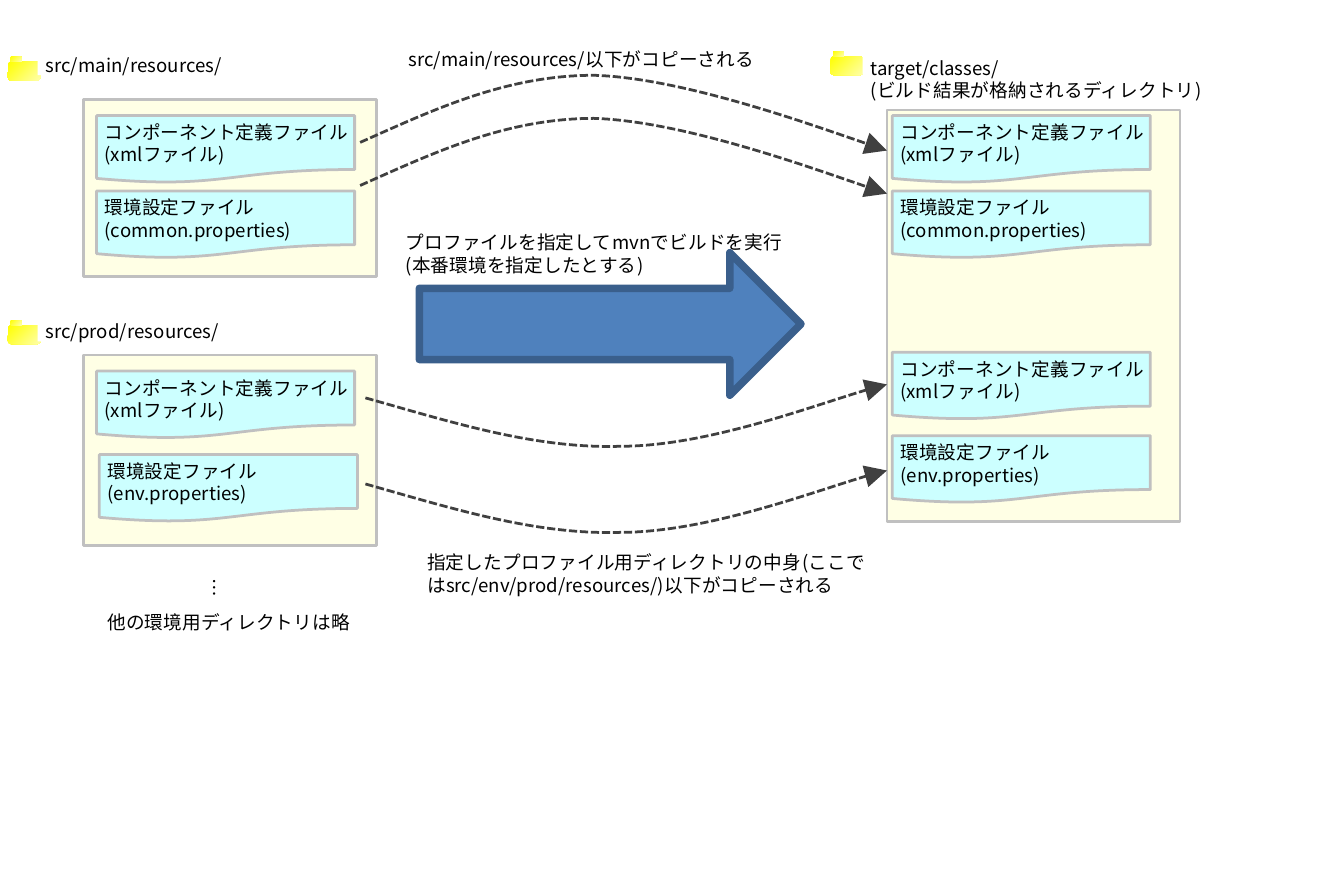
from pptx import Presentation
from pptx.dml.color import RGBColor
from pptx.enum.dml import MSO_LINE_DASH_STYLE as Dash
from pptx.enum.shapes import MSO_SHAPE as Shape
from pptx.enum.text import MSO_ANCHOR as Anchor, PP_ALIGN as Align
from pptx.oxml.ns import qn
from pptx.util import Pt
from lxml.etree import SubElement

PX = 9144  # 100 px to the inch
FONT = "Noto Sans CJK JP"
BLACK, WHITE, GRAY, DARK = "000000", "FFFFFF", "C0C0C0", "404040"
CREAM, CYAN, BLUE, NAVY = "FFFFE5", "CCFFFF", "4F81BD", "3A5F8C"
YELLOWS = ("FFFF00", "FFFFA9")

# Content: positions are left, top, width, height
FOLDERS = [(3, 21), (3, 119), (309, 19)]
LABELS = [
    ((14, 18, 86, 10), ["src/main/resources/"]),
    ((14, 117, 86, 10), ["src/prod/resources/"]),
    ((321, 19, 150, 18), ["target/classes/", "(ビルド結果が格納されるディレクトリ)"]),
    ((37, 225, 102, 16), ["他の環境用ディレクトリは略"]),
]
ELLIPSIS = ((74, 213, 13, 10), ["…"])
PANELS = [(31, 37, 109, 66), (31, 132, 109, 71), (330, 41, 109, 153)]
COMPONENT = ["コンポーネント定義ファイル", "(xmlファイル)"]
COMMON = ["環境設定ファイル", "(common.properties)"]
ENV = ["環境設定ファイル", "(env.properties)"]
FILES = [
    (36, 43, COMPONENT), (36, 71, COMMON), (36, 138, COMPONENT), (37, 169, ENV),
    (332, 43, COMPONENT), (332, 71, COMMON), (332, 131, COMPONENT), (332, 162, ENV),
]
FILE_SIZE = (96, 25)
BUILD_ARROW = (156, 94, 142, 53)
NOTES = [
    ((148, 84, 151, 26), ["プロファイルを指定してmvnでビルドを実行", "(本番環境を指定したとする)"]),
    ((149, 16, 151, 13), ["src/main/resources/以下がコピーされる"]),
    ((156, 203, 175, 22),
     ["指定したプロファイル用ディレクトリの中身(ここではsrc/env/prod/resources/)以下がコピーされる"]),
]
# Start point, then three points for each Bezier section
ARCH = [(134, 53), (161, 41), (188, 28), (221, 28), (254, 29), (315, 51), (330, 56)]
SAG = [(136, 148), (168, 157), (199, 167), (231, 166), (263, 166), (316, 146), (330, 143)]
COPIES = [(ARCH, 0), (ARCH, 16), (SAG, 0), (SAG, 32)]


def px(*lengths):
    return [length * PX for length in lengths]


def color(value):
    return RGBColor.from_string(value)


def write(box, lines, align=Align.LEFT, right=3, bottom=0, vertical=None):
    frame = box.text_frame
    frame.word_wrap = True
    frame.vertical_anchor = Anchor.TOP
    (frame.margin_left, frame.margin_top,
     frame.margin_right, frame.margin_bottom) = px(3, 2, right, bottom)
    if vertical:
        frame._txBody.bodyPr.set("vert", vertical)
    for index, line in enumerate(lines):
        para = frame.add_paragraph() if index else frame.paragraphs[0]
        para.alignment = align
        span = para.add_run()
        span.text = line
        span.font.size = Pt(5)
        span.font.name = FONT
        span.font.color.rgb = color(BLACK)
        SubElement(span._r.get_or_add_rPr(), qn("a:ea"), typeface=FONT)


def add_box(kind, place, fill, line=None, width=0.75):
    box = page.shapes.add_shape(kind, *px(*place))
    box.shadow.inherit = False
    if isinstance(fill, tuple):
        box.fill.gradient()
        box.fill.gradient_angle = 315
        for stop, value, position in zip(box.fill.gradient_stops, fill, (0, 1)):
            stop.color.rgb = color(value)
            stop.position = position
    else:
        box.fill.solid()
        box.fill.fore_color.rgb = color(fill)
    if line:
        box.line.color.rgb = color(line)
        box.line.width = Pt(width)
    else:
        box.line.fill.background()
    return box


def add_curve(points):
    builder = page.shapes.build_freeform(*points[0], scale=PX)
    builder.add_line_segments(points[1:], close=False)
    curve = builder.convert_to_shape()
    curve.shadow.inherit = False
    curve.fill.background()
    curve.line.color.rgb = color(DARK)
    curve.line.width = Pt(0.75)
    curve.line.dash_style = Dash.SQUARE_DOT
    SubElement(curve.line._get_or_add_ln(), qn("a:tailEnd"), type="triangle")
    # Turn each three straight segments into one cubic section
    outline = next(curve._element.iter(qn("a:path")))
    segments = outline.findall(qn("a:lnTo"))
    for first in range(0, len(segments), 3):
        section = SubElement(outline, qn("a:cubicBezTo"))
        for segment in segments[first:first + 3]:
            section.append(segment[0])
            outline.remove(segment)


deck = Presentation()
deck.slide_width, deck.slide_height = px(500, 325)
page = deck.slides.add_slide(deck.slide_layouts[6])

# Folder icons: body and tab
for left, top in FOLDERS:
    add_box(Shape.ROUNDED_RECTANGLE, (left, top + 2, 12, 7), YELLOWS)
    add_box(Shape.ROUNDED_RECTANGLE, (left + 1, top, 4, 2), YELLOWS)

# Directory names and remarks
for place, lines in LABELS:
    write(add_box(Shape.RECTANGLE, place, WHITE), lines)
place, lines = ELLIPSIS
write(add_box(Shape.RECTANGLE, place, WHITE), lines, vertical="eaVert")

# Directories and their files
for place in PANELS:
    add_box(Shape.RECTANGLE, place, CREAM, GRAY)
for left, top, lines in FILES:
    document = add_box(Shape.FLOWCHART_DOCUMENT, (left, top, *FILE_SIZE), CYAN, GRAY)
    write(document, lines, right=0)

# Build arrow and notes
add_box(Shape.RIGHT_ARROW, BUILD_ARROW, BLUE, NAVY, width=2)
for place, lines in NOTES:
    write(page.shapes.add_textbox(*px(*place)), lines)

# Copy arrows
for points, drop in COPIES:
    add_curve([(x, y + drop) for x, y in points])

deck.save("out.pptx")
